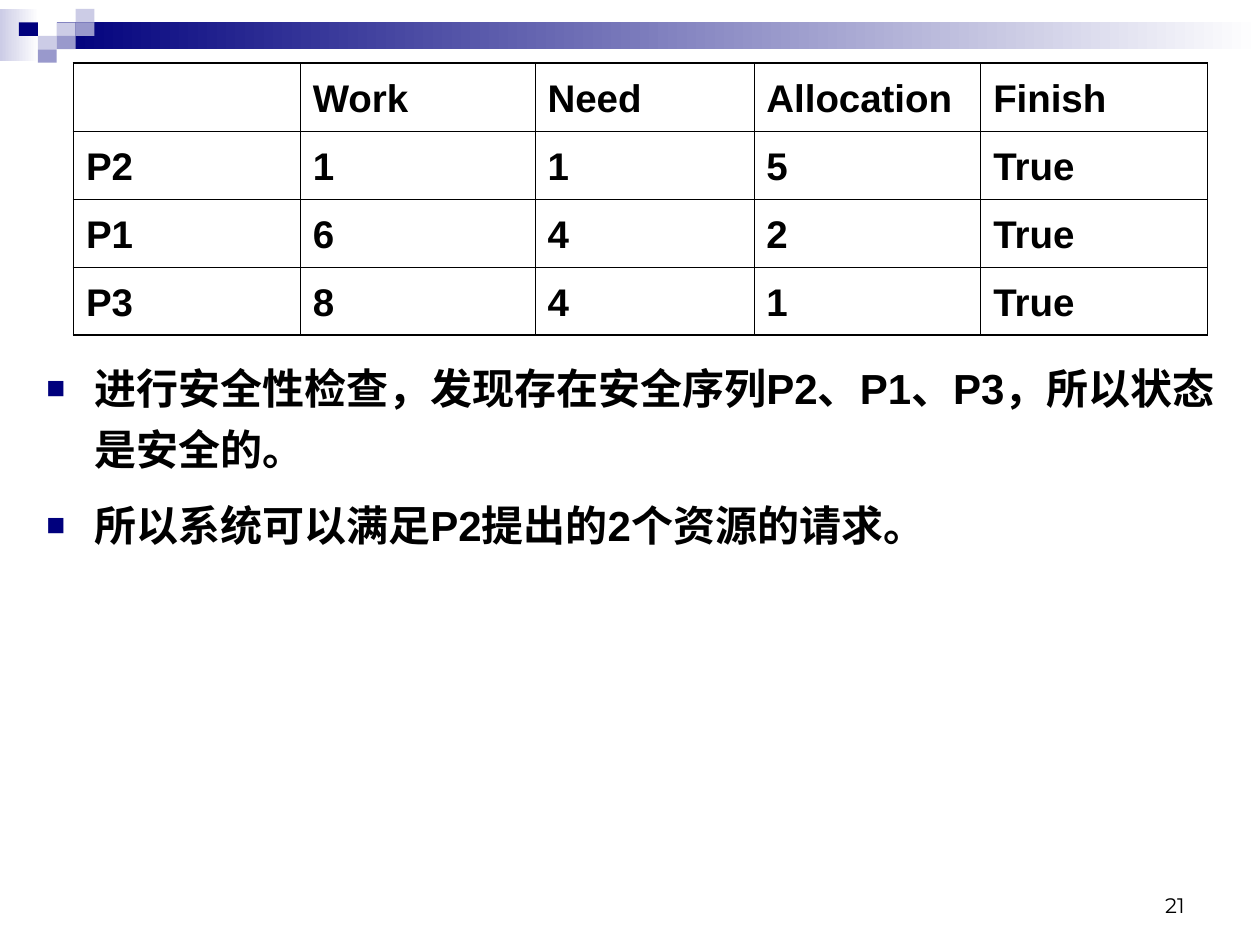
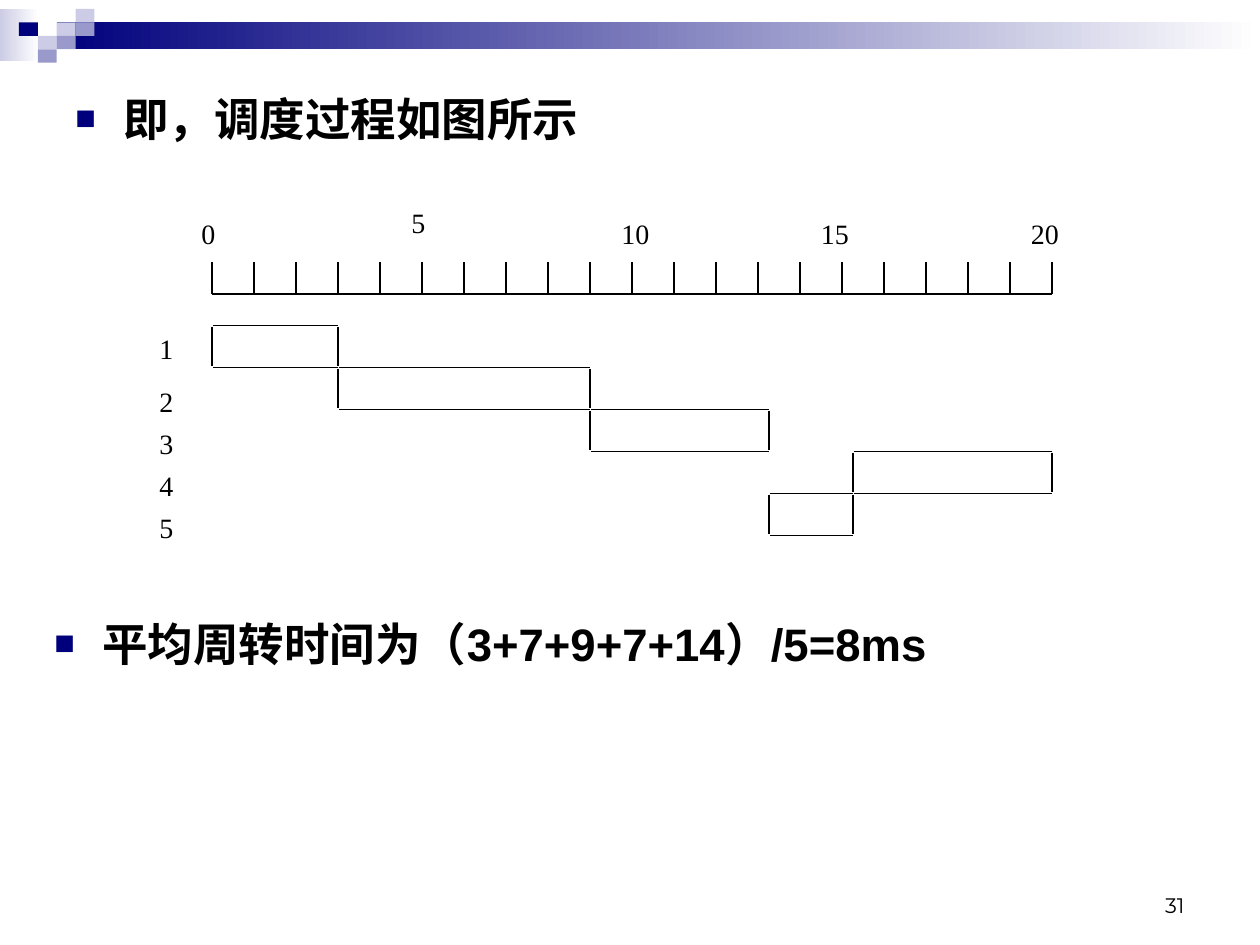
from lxml.etree import SubElement
from pptx import Presentation
from pptx.dml.color import RGBColor
from pptx.enum.shapes import MSO_CONNECTOR, MSO_SHAPE
from pptx.enum.text import MSO_ANCHOR, MSO_AUTO_SIZE, PP_ALIGN
from pptx.oxml import parse_xml
from pptx.oxml.ns import nsdecls, qn
from pptx.util import Inches, Pt

# The slide is a grid of 120 columns by 90 rows of square units
COLUMNS, ROWS = 120, 90
UNIT = Inches(10) / COLUMNS
NAVY, MID, LIGHT, WHITE, BLACK = "00007D", "9999CC", "CCCCE6", "FFFFFF", "000000"


def grid(*lengths):
    return [round(length * UNIT) for length in lengths]


def color(value):
    return RGBColor.from_string(value)


# Shared building blocks
def add_block(page, box, *fills):
    """Rectangle with one fill, or two for a gradient from left to right."""
    block = page.shapes.add_shape(MSO_SHAPE.RECTANGLE, *grid(*box))
    block.shadow.inherit = False
    block.line.fill.background()
    if len(fills) == 1:
        block.fill.solid()
        block.fill.fore_color.rgb = color(fills[0])
        return
    block.fill.gradient()
    block.fill.gradient_angle = 0
    for position, (stop, value) in enumerate(zip(block.fill.gradient_stops, fills)):
        stop.position = position
        stop.color.rgb = color(value)


def add_line(page, *ends):
    line = page.shapes.add_connector(MSO_CONNECTOR.STRAIGHT, *grid(*ends))
    line.line.color.rgb = color(BLACK)
    line.line.width = Pt(1)
    SubElement(line._element.spPr, qn("a:effectLst"))


def style_font(para, name, size, bold=False):
    para.font.name, para.font.size, para.font.bold = name, Pt(size), bold
    para.font.color.rgb = color(BLACK)


def space_para(para, gap):
    para.line_spacing = 1.2
    para.space_before = para.space_after = Pt(gap)


def add_text(page, box, text, name, size):
    frame = page.shapes.add_textbox(*grid(*box)).text_frame
    frame.word_wrap = True
    para = frame.paragraphs[0]
    para.text = text
    style_font(para, name, size)
    return frame


def add_label(page, left, top, text):
    width = 3.7 if len(text) == 1 else 5.2
    frame = add_text(page, (left, top, width, 4.3), text, "Times New Roman", 16)
    frame.word_wrap = False
    frame.auto_size = MSO_AUTO_SIZE.SHAPE_TO_FIT_TEXT


def add_bullets(page, box, lines, size, gap):
    frame = page.shapes.add_textbox(*grid(*box)).text_frame
    frame.word_wrap = True
    for index, line in enumerate(lines):
        para = frame.add_paragraph() if index else frame.paragraphs[0]
        para.text = line
        space_para(para, gap)
        properties = para._p.get_or_add_pPr()
        indent = Inches(0.38)
        properties.set("marL", str(indent))
        properties.set("indent", str(-indent))
        bullet_color = SubElement(properties, qn("a:buClr"))
        SubElement(bullet_color, qn("a:srgbClr"), val=NAVY)
        SubElement(properties, qn("a:buSzPct"), val="75000")
        SubElement(properties, qn("a:buFont"), typeface="Arial")
        SubElement(properties, qn("a:buChar"), char="■")
        style_font(para, "Arial", size, bold=True)


def add_page(deck, number):
    """Blank page with the header band, its mosaic and the page number."""
    page = deck.slides.add_slide(deck.slide_layouts[6])
    mosaic_top, tile_width, tile_height = 0.85, 1.8, 1.28
    add_block(page, (0, mosaic_top, 3.7, 5), LIGHT, WHITE)
    add_block(page, (5.4, mosaic_top + tile_height, COLUMNS - 5.4, 2 * tile_height),
              NAVY, WHITE)
    mosaic = [(3, 1, LIGHT), (4, 0, LIGHT), (4, 1, MID), (2, 2, LIGHT),
              (1, 1, NAVY), (3, 2, MID), (2, 3, MID)]
    for column, row, fill in mosaic:
        add_block(page, (column * tile_width, mosaic_top + row * tile_height,
                         tile_width, tile_height), fill)
    frame = add_text(page, (86, 82, 28, 6), str(number), "Montserrat", 12)
    frame.vertical_anchor = MSO_ANCHOR.BOTTOM
    frame.paragraphs[0].alignment = PP_ALIGN.RIGHT
    return page


# Safety check table
def set_borders(cell, **widths):
    properties = cell._tc.get_or_add_tcPr()
    for index, (side, width) in enumerate(widths.items()):
        properties.insert(index, parse_xml(
            f'<a:ln{side} {nsdecls("a")} w="{Pt(width)}"><a:solidFill>'
            f'<a:srgbClr val="{BLACK}"/></a:solidFill></a:ln{side}>'))


def add_safety_table(page, box, rows, shares):
    last_row, last_column = len(rows) - 1, len(shares) - 1
    table = page.shapes.add_table(len(rows), len(shares), *grid(*box)).table
    table.first_row = table.horz_banding = False
    for column, share in zip(table.columns, shares):
        column.width = grid(box[2] * share)[0]
    thin, thick = 0.45, 1.08
    for row, values in enumerate(rows):
        for column, value in enumerate(values):
            cell = table.cell(row, column)
            cell.fill.background()
            set_borders(cell,
                        L=thin if column else thick,
                        R=thick if column == last_column else thin,
                        T=thin if row else thick,
                        B=thick if row == last_row else thin)
            para = cell.text_frame.paragraphs[0]
            para.text = value
            space_para(para, 4.1)
            style_font(para, "Arial", 22, bold=True)


# Schedule diagram: a time scale above one bar for each process
def add_time_scale(page, left, axis, step, count):
    add_line(page, left, axis, left + count * step, axis)
    for tick in range(count + 1):
        x = left + tick * step
        add_line(page, x, axis, x, axis - 3)
    for text, x, rise in [("0", 18, 8), ("5", 38, 9), ("10", 58, 8),
                          ("15", 77, 8), ("20", 97, 8)]:
        add_label(page, x, axis - rise, text)


def add_process_bar(page, left, top, right, bottom):
    gap = 0.1  # keeps the corners open
    for x in (left, right):
        add_line(page, x, top + gap, x, bottom - gap)
    for y in (top, bottom):
        add_line(page, left + gap, y, right, y)


def add_schedule(page, left, axis):
    step = height = 4
    first_row = axis + 3
    add_time_scale(page, left, axis, step, 20)
    jobs = [(0, 3), (3, 9), (9, 13.26), (15.26, 20), (13.26, 15.26)]
    for index, (start, end) in enumerate(jobs):
        top = first_row + index * height
        add_process_bar(page, left + start * step, top, left + end * step, top + height)
        add_label(page, left - 6.2, top + (1 if index else 0), str(index + 1))


def build_safety_page(deck):
    page = add_page(deck, 21)
    rows = [("", "Work", "Need", "Allocation", "Finish"),
            ("P2", "1", "1", "5", "True"),
            ("P1", "6", "4", "2", "True"),
            ("P3", "8", "4", "1", "True")]
    add_safety_table(page, (7, 6, 108, 25.92), rows, (0.2, 0.207, 0.193, 0.2, 0.2))
    add_bullets(page, (3.25, 33, COLUMNS - 3.25, 48),
                ["进行安全性检查，发现存在安全序列P2、P1、P3，所以状态是安全的。",
                 "所以系统可以满足P2提出的2个资源的请求。"], 24, 4.5)


def build_schedule_page(deck):
    page = add_page(deck, 31)
    add_bullets(page, (6, 7, 108, 8), ["即，调度过程如图所示"], 26, 4.9)
    add_schedule(page, 20.2, 28)
    add_bullets(page, (4, 57, 108, 8), ["平均周转时间为（3+7+9+7+14）/5=8ms"], 26, 4.9)


def main():
    deck = Presentation()
    deck.slide_width, deck.slide_height = grid(COLUMNS, ROWS)
    build_safety_page(deck)
    build_schedule_page(deck)
    deck.save("out.pptx")


if __name__ == "__main__":
    main()
